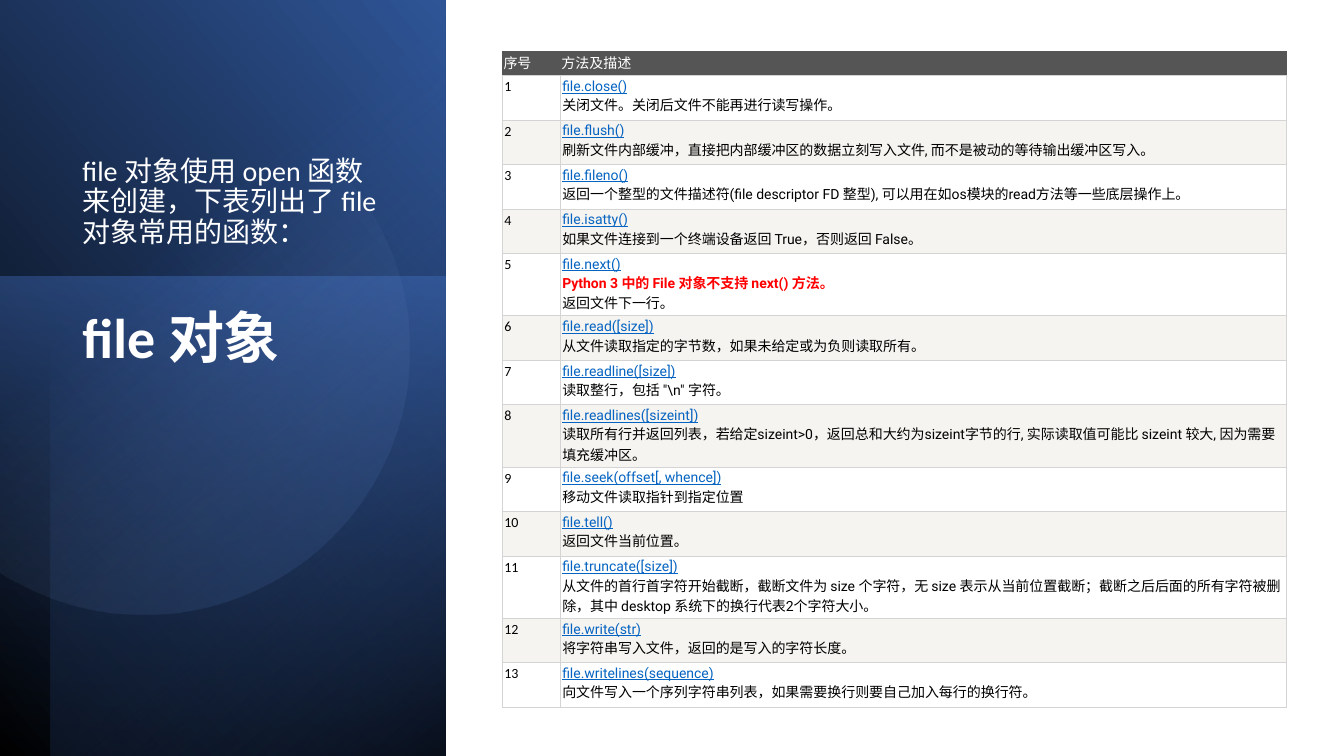
"""Build the slide that lists the methods of the file object."""
from math import acos, cos, pi, sin

from lxml.etree import SubElement
from pptx import Presentation
from pptx.dml.color import RGBColor
from pptx.enum.shapes import MSO_SHAPE
from pptx.enum.text import MSO_ANCHOR
from pptx.oxml.ns import qn
from pptx.util import Cm, Pt

TITLE = "file 对象"
INTRO = "file 对象使用 open 函数来创建，下表列出了 file 对象常用的函数："
HEADINGS = ("序号", "方法及描述")
WARNING = "Python 3 中的 File 对象不支持 next() 方法。"
METHODS = [
    ("file.close()", "关闭文件。关闭后文件不能再进行读写操作。"),
    ("file.flush()", "刷新文件内部缓冲，直接把内部缓冲区的数据立刻写入文件, 而不是被动的等待输出缓冲区写入。"),
    ("file.fileno()", "返回一个整型的文件描述符(file descriptor FD 整型), 可以用在如os模块的read方法等一些底层操作上。"),
    ("file.isatty()", "如果文件连接到一个终端设备返回 True，否则返回 False。"),
    ("file.next()", WARNING, "返回文件下一行。"),
    ("file.read([size])", "从文件读取指定的字节数，如果未给定或为负则读取所有。"),
    ("file.readline([size])", '读取整行，包括 "\\n" 字符。'),
    ("file.readlines([sizeint])", "读取所有行并返回列表，若给定sizeint>0，返回总和大约为sizeint字节的行, "
     "实际读取值可能比 sizeint 较大, 因为需要填充缓冲区。"),
    ("file.seek(offset[, whence])", "移动文件读取指针到指定位置"),
    ("file.tell()", "返回文件当前位置。"),
    ("file.truncate([size])", "从文件的首行首字符开始截断，截断文件为 size 个字符，无 size 表示从当前位置截断；"
     "截断之后后面的所有字符被删除，其中 desktop 系统下的换行代表2个字符大小。"),
    ("file.write(str)", "将字符串写入文件，返回的是写入的字符长度。"),
    ("file.writelines(sequence)", "向文件写入一个序列字符串列表，如果需要换行则要自己加入每行的换行符。"),
]
TALL_ROWS = {5, 8, 11}

THEME = {
    "white": "FFFFFF", "ink": "000000", "link": "0563C1", "warning": "FF0000",
    "header": "555555", "stripe": "F6F4F0", "grid": "D4D4D4",
    "blue": "4472C4", "navy": "203864", "royal": "2F5597", "pale": "8FAADC",
    "heading_font": "Calibri", "method_font": "Roboto",
    "title_size": 40, "intro_size": 20, "table_size": 10,
}

PANELS = [
    {"box": (-3.94, 3.94, 19.1, 11.23), "turn": 90, "flip": True, "angle": 310,
     "stops": [(0, "ink", 100), (100, "royal", 100)]},
    {"box": (-0.43, 7.39, 12.09, 11.23), "turn": 270, "flip": False, "angle": 190,
     "stops": [(0, "blue", 50), (100, "navy", 0)]},
    {"box": (-3.28, 4.55, 19.05, 9.96), "turn": 270, "flip": True, "angle": 220,
     "stops": [(0, "ink", 59), (69, "blue", 0)]},
]
DISC = {"center": (3.63, 8.81), "radius": 6.68, "steps": 120, "angle": 51,
        "stops": [(39, "pale", 0), (100, "royal", 26)]}


def color(name):
    return RGBColor.from_string(THEME[name])


def paint_gradient(shape, angle, stops):
    shape.shadow.inherit = False
    shape.line.fill.background()
    shape.fill.gradient()
    shape.fill.gradient_angle = 360 - angle
    for stop, (position, name, _) in zip(shape.fill.gradient_stops, stops):
        stop.position = position / 100
        stop.color.rgb = color(name)
    tints = shape._element.spPr.iter(qn("a:srgbClr"))
    for tint, (_, _, opacity) in zip(list(tints), stops):
        SubElement(tint, qn("a:alpha")).set("val", str(opacity * 1000))


def add_panel(slide, box, turn, flip, angle, stops):
    panel = slide.shapes.add_shape(MSO_SHAPE.RECTANGLE, *map(Cm, box))
    panel.rotation = turn
    if flip:
        panel._element.spPr.get_or_add_xfrm().set("flipH", "1")
    paint_gradient(panel, angle, stops)


def add_disc(slide, center, radius, steps, angle, stops):
    x, y = center
    cut = acos(-x / radius)
    turns = [cut * (2 * step / steps - 1) for step in range(steps + 1)]
    rim = [(Cm(x + radius * cos(turn)), Cm(y + radius * sin(turn))) for turn in turns]
    outline = slide.shapes.build_freeform(*rim[0])
    outline.add_line_segments(rim[1:], close=True)
    paint_gradient(outline.convert_to_shape(), angle, stops)


def style(paragraph, font, size, ink, bold=False, underline=False):
    for run in paragraph.runs:
        run.font.name = THEME[font]
        run.font.size = Pt(THEME[size])
        run.font.color.rgb = color(ink)
        run.font.bold = bold
        run.font.underline = underline


def add_caption(slide, text, box, size, anchor, bold=False, before=0):
    frame = slide.shapes.add_textbox(*map(Cm, box)).text_frame
    frame.word_wrap = True
    frame.vertical_anchor = anchor
    frame.text = text
    paragraph = frame.paragraphs[0]
    paragraph.line_spacing = 0.9
    paragraph.space_before = Pt(before)
    style(paragraph, "heading_font", size, "white", bold)


def fill_cell(cell, lines, fill, edge, margins):
    cell.margin_left = cell.margin_right = Cm(margins[0])
    cell.margin_top = cell.margin_bottom = Cm(margins[1])
    properties = cell._tc.get_or_add_tcPr()
    for side in "LRTB":
        border = SubElement(properties, qn(f"a:ln{side}"), w=str(Pt(0.75)))
        solid = SubElement(border, qn("a:solidFill"))
        SubElement(solid, qn("a:srgbClr")).set("val", THEME["grid" if side == "B" else edge])
    cell.fill.solid()
    cell.fill.fore_color.rgb = color(fill)
    cell.text_frame.text = "\n".join(lines)


def add_methods(slide):
    heights = [0.61] + [1.57 if number in TALL_ROWS else 1.12
                        for number in range(1, len(METHODS) + 1)]
    widths = (1.46, 18.31)
    table = slide.shapes.add_table(len(heights), len(widths), Cm(12.66), Cm(1.3),
                                   Cm(sum(widths)), Cm(sum(heights))).table
    table.first_row = table.horz_banding = False
    for column, width in zip(table.columns, widths):
        column.width = Cm(width)
    for row, height in zip(table.rows, heights):
        row.height = Cm(height)
    for column, heading in enumerate(HEADINGS):
        cell = table.cell(0, column)
        fill_cell(cell, [heading], "header", "header", (0.03, 0.03))
        style(cell.text_frame.paragraphs[0], "heading_font", "table_size", "white")
    for number, lines in enumerate(METHODS, 1):
        fill = "white" if number % 2 else "stripe"
        index, method = table.cell(number, 0), table.cell(number, 1)
        fill_cell(index, [str(number)], fill, "grid", (0.05, 0.07))
        fill_cell(method, lines, fill, "grid", (0.05, 0.07))
        style(index.text_frame.paragraphs[0], "heading_font", "table_size", "ink")
        signature, *details = method.text_frame.paragraphs
        style(signature, "method_font", "table_size", "link", underline=True)
        for detail in details:
            warns = detail.text == WARNING
            style(detail, "method_font", "table_size", "warning" if warns else "ink", warns)


presentation = Presentation()
presentation.slide_width, presentation.slide_height = Cm(33.87), Cm(19.05)
slide = presentation.slides.add_slide(presentation.slide_layouts[6])
for panel in PANELS:
    add_panel(slide, **panel)
add_disc(slide, **DISC)
add_caption(slide, TITLE, (1.83, 7.7, 8, 8.53), "title_size", MSO_ANCHOR.TOP, bold=True)
add_caption(slide, INTRO, (1.83, 2.24, 8.1, 4.14), "intro_size", MSO_ANCHOR.BOTTOM, before=10)
add_methods(slide)
presentation.save("out.pptx")
